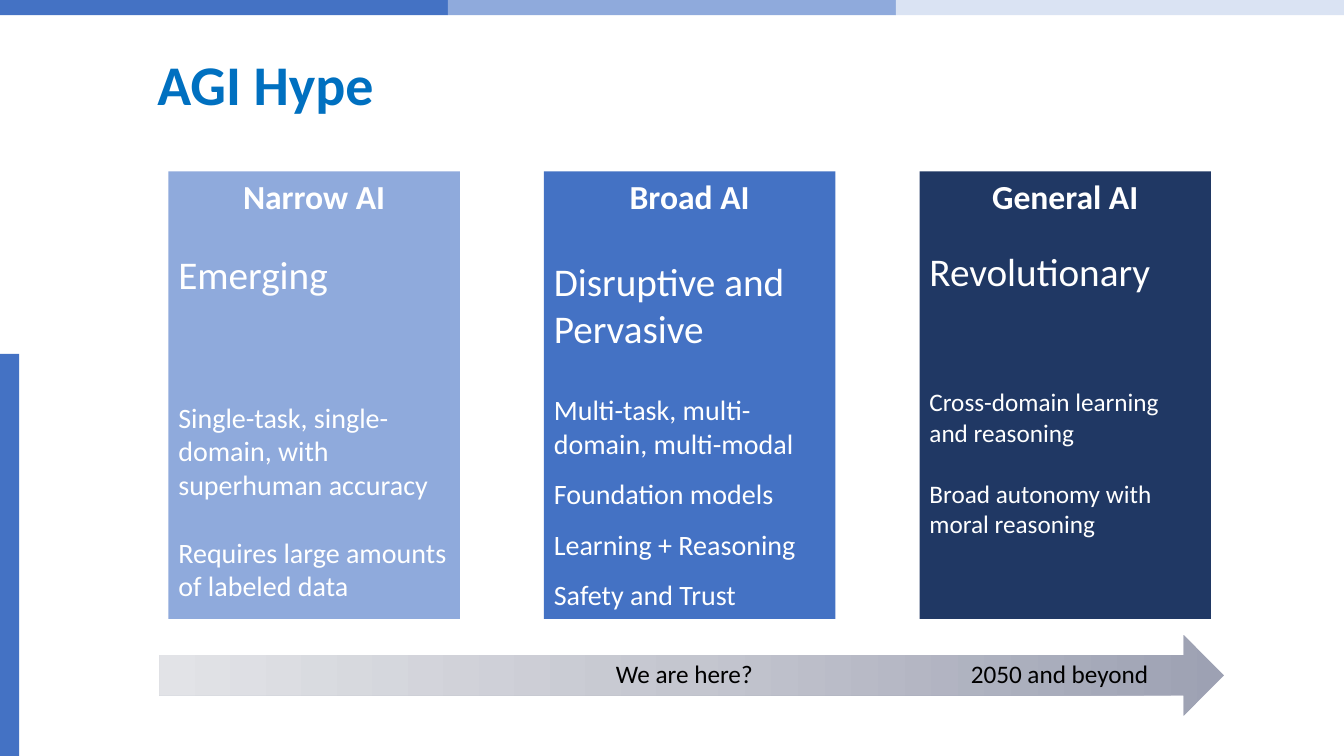
from copy import deepcopy

from pptx import Presentation
from pptx.dml.color import RGBColor
from pptx.enum.shapes import MSO_SHAPE
from pptx.enum.text import MSO_ANCHOR, MSO_AUTO_SIZE, PP_ALIGN
from pptx.oxml.ns import qn
from pptx.util import Inches, Pt

FONT = "Calibri"
LINE_HEIGHT = 1.22  # line height of the font, as a multiple of its size
SLIDE_W, SLIDE_H = 13.33, 7.5

BLUE = RGBColor(0x44, 0x72, 0xC4)
LIGHT_BLUE = RGBColor(0x8F, 0xAA, 0xDC)
PALE_BLUE = RGBColor(0xDA, 0xE3, 0xF3)
NAVY = RGBColor(0x20, 0x38, 0x64)
TITLE_BLUE = RGBColor(0x00, 0x70, 0xC0)
WHITE = RGBColor(0xFF, 0xFF, 0xFF)
BLACK = RGBColor(0x00, 0x00, 0x00)
ARROW_STOPS = [
    (0, RGBColor(0x9D, 0xA1, 0xB3)),
    (0.5, RGBColor(0xC4, 0xC6, 0xCF)),
    (1, RGBColor(0xE2, 0xE3, 0xE7)),
]

# heading, stage, fill, text size, lines skipped before each point, line spacing of later points
STAGES = [
    ("Narrow AI", "Emerging", LIGHT_BLUE, 20, (3, 1), 1,
     ["Single-task, single-domain, with superhuman accuracy",
      "Requires large amounts of labeled data"]),
    ("Broad AI", "Disruptive and Pervasive", BLUE, 20, (1.2, 0, 0, 0), 1.5,
     ["Multi-task, multi-domain, multi-modal", "Foundation models",
      "Learning + Reasoning", "Safety and Trust"]),
    ("General AI", "Revolutionary", NAVY, 18, (3, 1), 1,
     ["Cross-domain learning and reasoning",
      "Broad autonomy with moral reasoning"]),
]


def add_block(slide, box, shape=MSO_SHAPE.RECTANGLE, fill=None):
    sp = slide.shapes.add_shape(shape, *map(Inches, box))
    sp.shadow.inherit = False
    sp.line.fill.background()
    if fill is not None:
        sp.fill.solid()
        sp.fill.fore_color.rgb = fill
    return sp


def write(p, text, size, color, bold=False, **paragraph_format):
    r = p.add_run()
    r.text = text
    for name, value in {"name": FONT, "size": Pt(size), "bold": bold}.items():
        setattr(r.font, name, value)
    r.font.color.rgb = color
    for name, value in paragraph_format.items():
        setattr(p, name, value)


def add_decoration(slide):
    band_w = SLIDE_W / 3
    for i, color in enumerate((BLUE, LIGHT_BLUE, PALE_BLUE)):
        add_block(slide, (i * band_w, 0, band_w, 0.15), fill=color)
    add_block(slide, (0, 3.51, 0.19, SLIDE_H - 3.51), fill=BLUE)


def add_title(slide, box, text):
    title = slide.shapes.title
    for name, value in zip(("left", "top", "width", "height"), box):
        setattr(title, name, Inches(value))
    tf = title.text_frame
    tf.vertical_anchor = MSO_ANCHOR.MIDDLE
    write(tf.paragraphs[0], text, 40, TITLE_BLUE, True,
          alignment=PP_ALIGN.LEFT, line_spacing=0.9)


def add_stage(slide, box, heading, stage, fill, size, skips, spacing, points):
    tf = add_block(slide, box, fill=fill).text_frame
    tf.word_wrap = True
    tf.vertical_anchor = MSO_ANCHOR.TOP
    line = size * LINE_HEIGHT
    write(tf.paragraphs[0], heading, 24, WHITE, True, alignment=PP_ALIGN.CENTER)
    write(tf.add_paragraph(), stage, 28, WHITE, alignment=PP_ALIGN.LEFT,
          space_before=Pt(round(line * (1.2 if spacing > 1 else 1), 1)))
    for i, (point, skip) in enumerate(zip(points, skips)):
        write(tf.add_paragraph(), point, size, WHITE, alignment=PP_ALIGN.LEFT,
              space_before=Pt(round(line * skip, 1)),
              line_spacing=spacing if i else 1.0)


def add_stages(slide, box):
    left, top, width, height = box
    column_w = 2.89
    step = (width - column_w) / (len(STAGES) - 1)
    for i, stage in enumerate(STAGES):
        add_stage(slide, (left + i * step, top, column_w, height), *stage)


def add_timeline(slide, box):
    left, top, _, _ = box
    arrow = add_block(slide, box, MSO_SHAPE.RIGHT_ARROW)
    arrow.fill.gradient()
    arrow.fill.gradient_angle = 180
    stop_list = arrow._element.spPr.find(".//" + qn("a:gsLst"))
    stop_list.insert(1, deepcopy(stop_list[0]))
    for stop, (position, color) in zip(arrow.fill.gradient_stops, ARROW_STOPS):
        stop.position = position
        stop.color.rgb = color
    for text, offset, width in (("We are here?", 4.43, 1.58),
                                ("2050 and beyond", 7.95, 1.99)):
        label = (left + offset, top + 0.18, width, 0.4)
        tf = slide.shapes.add_textbox(*map(Inches, label)).text_frame
        tf.word_wrap = False
        tf.auto_size = MSO_AUTO_SIZE.SHAPE_TO_FIT_TEXT
        write(tf.paragraphs[0], text, 18, BLACK)


def main():
    prs = Presentation()
    prs.slide_width, prs.slide_height = Inches(SLIDE_W), Inches(SLIDE_H)
    slide = prs.slides.add_slide(prs.slide_layouts[5])
    add_decoration(slide)
    add_title(slide, (1.46, 0.4, 10.95, 0.94), "AGI Hype")
    add_stages(slide, (1.67, 1.7, 10.34, 4.44))
    add_timeline(slide, (1.58, 6.3, 10.56, 0.8))
    prs.save("out.pptx")


if __name__ == "__main__":
    main()
